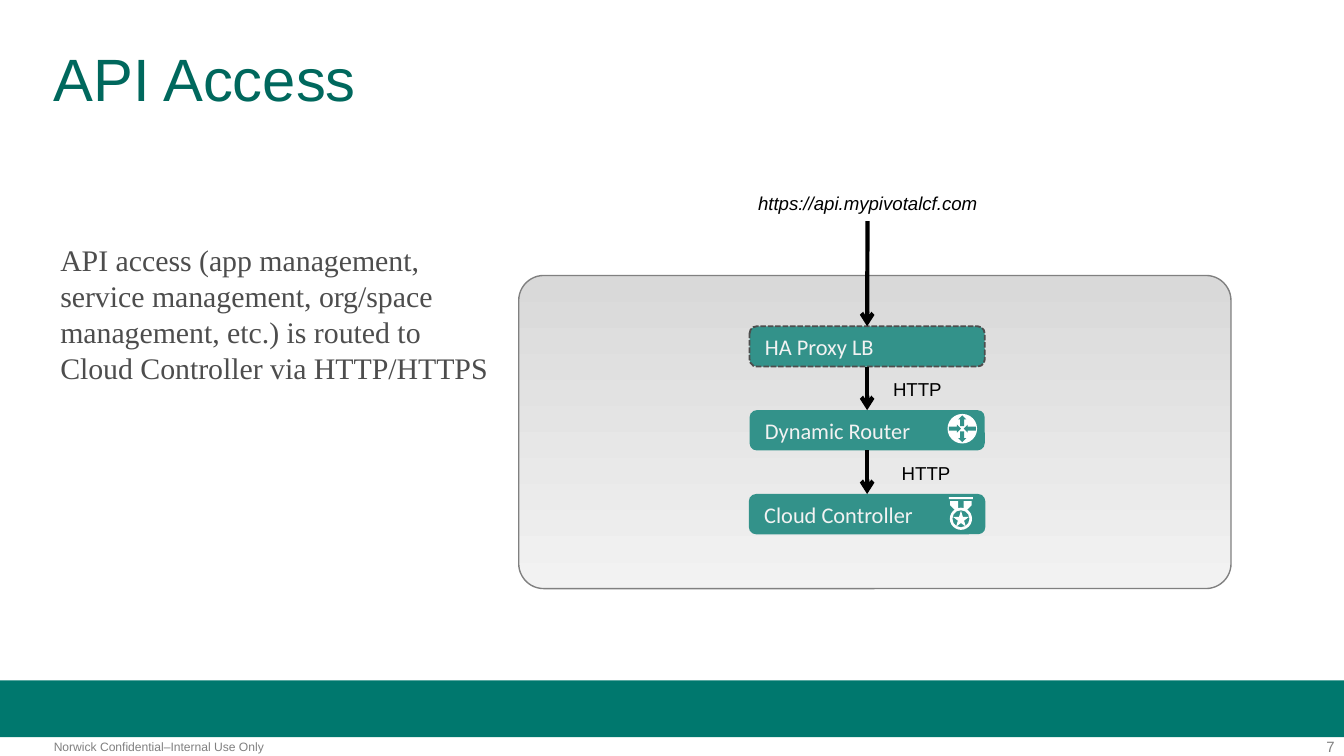
from pptx import Presentation
from pptx.dml.color import RGBColor as Rgb
from pptx.enum.dml import MSO_LINE as Dash
from pptx.enum.shapes import MSO_CONNECTOR as Link, MSO_SHAPE as Form
from pptx.enum.text import MSO_ANCHOR as Anchor, PP_ALIGN as Align
from pptx.util import Inches, Pt
from lxml.etree import SubElement
from pptx.oxml.ns import qn

# Grid of 100 columns by 56.25 rows, each a tenth of an inch
UNIT = Inches(0.1)
COLS, ROWS = 100, 56.25
HUES = {
    "band": "00786E", "title": "00685D", "box": "33928A", "pale": "F2F2F2",
    "top": "D9D9D9", "grey": "808080", "dark": "4D4D4D",
    "white": "FFFFFF", "black": "000000",
}

deck = Presentation()
deck.slide_width, deck.slide_height = int(COLS * UNIT), int(ROWS * UNIT)
slide = deck.slides.add_slide(deck.slide_layouts[6])
shapes = slide.shapes


def draw(form, x, y, w, h, hue):
    """Add a flat preset shape, placed in grid units."""
    part = shapes.add_shape(form, *(int(n * UNIT) for n in (x, y, w, h)))
    part.shadow.inherit = False
    part.fill.solid()
    part.fill.fore_color.rgb = Rgb.from_string(HUES[hue])
    part.line.fill.background()
    return part


def write(x, y, w, h, text, size, hue, face="Arial", align=Align.LEFT, pad=0, wrap=True):
    """Add a text box, placed in grid units, with side inset pad."""
    box = shapes.add_textbox(*(int(n * UNIT) for n in (x, y, w, h)))
    frame = box.text_frame
    frame.word_wrap = wrap
    frame.margin_left = frame.margin_right = int(pad * UNIT)
    frame.margin_top = frame.margin_bottom = int(pad * UNIT / 2)
    frame.text = text
    para = frame.paragraphs[0]
    para.alignment = align
    font = para.runs[0].font
    font.name, font.size = face, Pt(size)
    font.color.rgb = Rgb.from_string(HUES[hue])
    return box


# Footer
draw(Form.RECTANGLE, 0, 50.63, COLS, 4.22, "band")
write(93.5, 54.9, 5.8, 1.3, "7", 8, "grey", align=Align.RIGHT)
write(4, 55, 24.9, 1.1, "Norwick Confidential–Internal Use Only", 6.5, "grey")

# Title and body
title = write(4, 3.6, 92, 5, "API Access", 32, "title").text_frame
title.vertical_anchor = Anchor.MIDDLE
title.paragraphs[0].line_spacing = 0.9
write(3.5, 17.5, 34.2, 27.9,
      "API access (app management, service management, org/space "
      "management, etc.) is routed to Cloud Controller via HTTP/HTTPS",
      16, "dark", face="Times New Roman", pad=1)

# Platform panel
panel = draw(Form.ROUNDED_RECTANGLE, 38.6, 20.5, 53, 23.3, "top")
panel.adjustments[0] = 0.08
panel.fill.gradient()
panel.fill.gradient_angle = 270
for stop, spot, hue in zip(panel.fill.gradient_stops, (0, 1), ("top", "pale")):
    stop.position = spot
    stop.color.rgb = Rgb.from_string(HUES[hue])
panel.line.color.rgb = Rgb.from_string(HUES["grey"])
panel.line.width = Pt(0.75)

# Chain of stages, from the address down
url = write(55.1, 13.8, 18.9, 2.65, "https://api.mypivotalcf.com", 10, "black",
            align=Align.CENTER, pad=1, wrap=False)
url.text_frame.paragraphs[0].runs[0].font.italic = True
chain = [url]
for i, (name, wide) in enumerate((("HA Proxy LB", 17.5), ("Dynamic Router", 17.5),
                                  ("Cloud Controller", 17.6))):
    stage = draw(Form.ROUNDED_RECTANGLE, 64.52 - wide / 2, 24.28 + 6.24 * i, wide, 3, "box")
    stage.adjustments[0] = 0.18
    frame = stage.text_frame
    frame.margin_left = frame.margin_right = UNIT
    frame.margin_top = frame.margin_bottom = 0
    frame.vertical_anchor = Anchor.MIDDLE
    frame.text = name
    frame.paragraphs[0].alignment = Align.LEFT
    font = frame.paragraphs[0].runs[0].font
    font.name, font.size = "Calibri", Pt(12)
    font.color.rgb = Rgb.from_string(HUES["pale"])
    chain.append(stage)

edge = chain[1].line
edge.color.rgb = Rgb.from_string(HUES["dark"])
edge.width, edge.dash_style = Pt(1), Dash.SQUARE_DOT

for start, end in zip(chain, chain[1:]):
    arrow = shapes.add_connector(Link.STRAIGHT, 0, 0, 0, 0)
    arrow.begin_connect(start, 2)
    arrow.end_connect(end, 0)
    arrow.line.color.rgb = Rgb.from_string(HUES["black"])
    arrow.line.width = Pt(2.25)
    SubElement(arrow.line._get_or_add_ln(), qn("a:tailEnd"), type="arrow")
    SubElement(arrow._element.spPr, qn("a:effectLst"))

for x, y in ((65.4, 27.65), (66.05, 33.85)):
    write(x, y, 5.7, 2.7, "HTTP", 10, "black", align=Align.CENTER, pad=1, wrap=False)

# Router icon: a disc with two arrows out and two arrows in
draw(Form.OVAL, 70.5, 30.8, 2.2, 2.2, "white")
for form, x, y, w, h in (
    (Form.UP_ARROW, 71.3, 30.9, 0.6, 0.8),
    (Form.DOWN_ARROW, 71.3, 32.1, 0.6, 0.8),
    (Form.RIGHT_ARROW, 70.6, 31.6, 0.9, 0.6),
    (Form.LEFT_ARROW, 71.7, 31.6, 0.9, 0.6),
):
    draw(form, x, y, w, h, "box")

# Medal icon: bar, two ribbon halves, ring and star
mid = 71.5
draw(Form.RECTANGLE, mid - 0.9, 37, 1.8, 0.15, "white")
for side in (-1, 1):
    spots = [((mid + side * dx) * UNIT, y * UNIT) for dx, y in
             ((0.2, 37.3), (0.8, 37.3), (0.8, 37.6), (0.4, 38), (0.2, 37.9))]
    pen = shapes.build_freeform(*spots[0])
    pen.add_line_segments(spots[1:])
    half = pen.convert_to_shape()
    half.shadow.inherit = False
    half.fill.solid()
    half.fill.fore_color.rgb = Rgb.from_string(HUES["white"])
    half.line.fill.background()
for form, size, hue in ((Form.OVAL, 1.65, "white"), (Form.OVAL, 1.25, "box"),
                        (Form.STAR_5_POINT, 1.2, "white")):
    draw(form, mid - size / 2, 38.6 - size / 2, size, size, hue)

deck.save("out.pptx")
